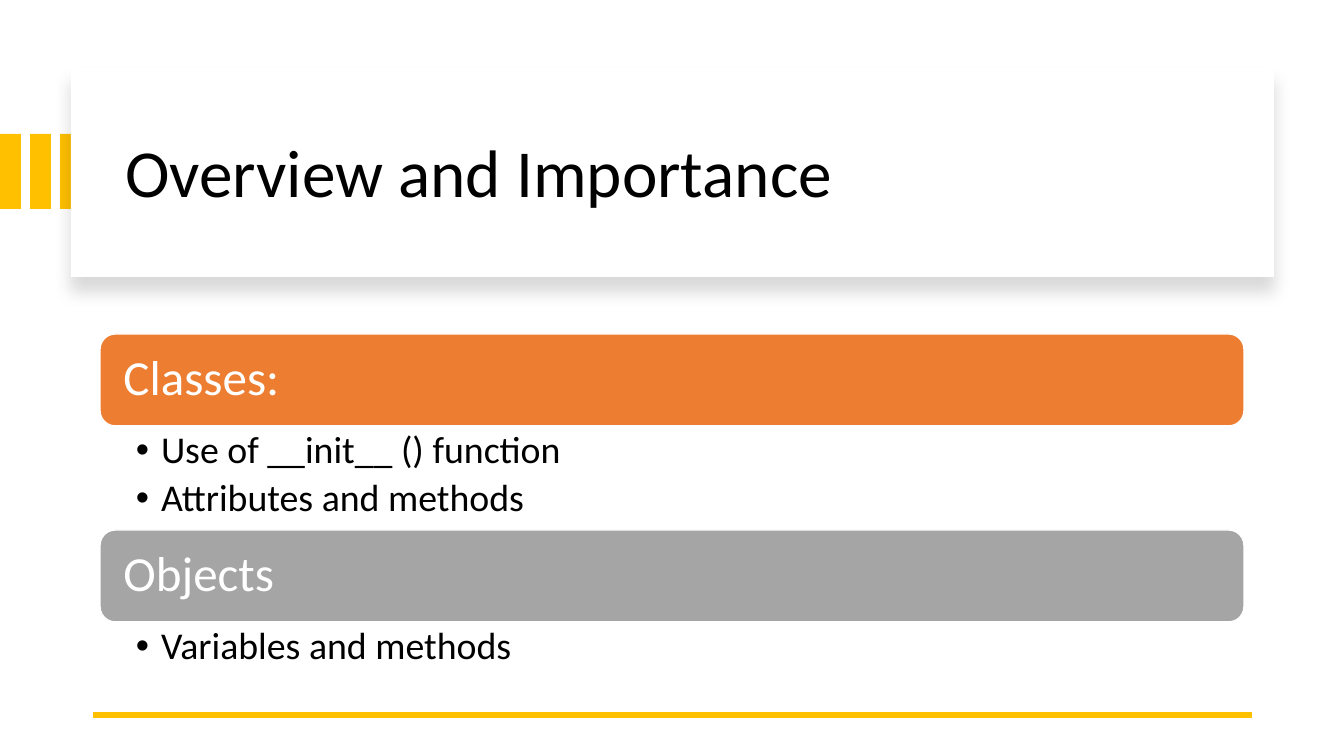
from lxml.etree import SubElement
from pptx import Presentation
from pptx.dml.color import RGBColor
from pptx.enum.shapes import MSO_CONNECTOR, MSO_SHAPE
from pptx.enum.text import MSO_ANCHOR, MSO_AUTO_SIZE, PP_ALIGN
from pptx.oxml.ns import qn
from pptx.util import Emu, Pt

SLIDE_WIDTH, SLIDE_HEIGHT = 1344, 756
FONT = "Calibri"
GOLD, ORANGE, GRAY = "FFC000", "ED7D31", "A5A5A5"
WHITE, BLACK = "FFFFFF", "000000"
SECTION_LEFT, SECTION_TOP, SECTION_WIDTH, HEADING_HEIGHT = 100, 334, 1144, 92
SECTIONS = [
    ("Classes:", ORANGE, ["Use of __init__ () function", "Attributes and methods"], 104),
    ("Objects", GRAY, ["Variables and methods"], 64),
]


def px(length):
    return Emu(round(length * 9144000 / 1008))


def color(hex_string):
    return RGBColor.from_string(hex_string)


def place(shape, left, top, width, height):
    shape.left, shape.top = px(left), px(top)
    shape.width, shape.height = px(width), px(height)


def write_text(shape, lines, size, text_color, anchor=MSO_ANCHOR.MIDDLE,
               insets=(10, 5, 10, 5), space_after=0, bulleted=False):
    frame = shape.text_frame
    frame.text = "\n".join(lines)
    frame.word_wrap = True
    frame.auto_size = MSO_AUTO_SIZE.NONE
    frame.vertical_anchor = anchor
    frame.margin_left, frame.margin_top, frame.margin_right, frame.margin_bottom = map(px, insets)
    for paragraph in frame.paragraphs:
        paragraph.alignment = PP_ALIGN.LEFT
        paragraph.line_spacing = 0.9
        paragraph.space_before = Pt(0)
        paragraph.space_after = Pt(space_after)
        for run in paragraph.runs:
            run.font.name = FONT
            run.font.size = Pt(size)
            run.font.color.rgb = color(text_color)
        if bulleted:
            add_bullet(paragraph)


def add_bullet(paragraph):
    properties = paragraph._p.get_or_add_pPr()
    properties.set("marL", str(px(25)))
    properties.set("indent", str(px(-25)))
    SubElement(properties, qn("a:buChar")).set("char", "•")


def add_block(slide, preset, left, top, width, height, fill, line=None):
    block = slide.shapes.add_shape(preset, px(left), px(top), px(width), px(height))
    block.shadow.inherit = False
    block.fill.solid()
    block.fill.fore_color.rgb = color(fill)
    if line:
        block.line.color.rgb = color(line)
        block.line.width = Pt(1)
    else:
        block.line.fill.background()
    return block


def add_soft_shadow(shape):
    effects = shape._element.spPr.find(qn("a:effectLst"))
    shadow = SubElement(effects, qn("a:outerShdw"), blurRad=str(Pt(11)), dist=str(Pt(10)),
                        dir="5400000", algn="t", rotWithShape="0")
    shade = SubElement(shadow, qn("a:srgbClr"), val=BLACK)
    SubElement(shade, qn("a:alpha"), val="15000")


def add_rule(slide, left, right, y):
    rule = slide.shapes.add_connector(MSO_CONNECTOR.STRAIGHT, px(right), px(y), px(left), px(y))
    rule.line.color.rgb = color(GOLD)
    rule.line.width = Pt(4.5)
    SubElement(rule._element.spPr, qn("a:effectLst"))


def add_title_card(slide):
    for index in range(3):
        add_block(slide, MSO_SHAPE.RECTANGLE, index * 30, 134, 21, 75, GOLD)
    card = add_block(slide, MSO_SHAPE.RECTANGLE, 71, 68, 1203, 209, WHITE)
    add_soft_shadow(card)
    title = slide.shapes.title
    place(title, 115, 90, 1122, 171)
    write_text(title, ["Overview and Importance"], 48, BLACK)
    card.element.addnext(title.element)


def add_section(slide, body, top, heading, fill, items, list_height):
    bar = add_block(slide, MSO_SHAPE.ROUNDED_RECTANGLE, SECTION_LEFT, top,
                    SECTION_WIDTH, HEADING_HEIGHT, fill, line=WHITE)
    write_text(bar, [heading], 35, WHITE, insets=(19, 15, 19, 15))
    place(body, SECTION_LEFT, top + HEADING_HEIGHT, SECTION_WIDTH, list_height)
    write_text(body, items, 27, BLACK, anchor=MSO_ANCHOR.TOP,
               insets=(36, 5, 27, 5), space_after=5, bulleted=True)
    bar.element.addnext(body.element)


def main():
    presentation = Presentation()
    presentation.slide_width, presentation.slide_height = px(SLIDE_WIDTH), px(SLIDE_HEIGHT)
    slide = presentation.slides.add_slide(presentation.slide_layouts.get_by_name("Two Content"))
    bodies = [slide.placeholders[1], slide.placeholders[2]]
    add_title_card(slide)
    add_rule(slide, 93, 1252, 715)
    top = SECTION_TOP
    for body, (heading, fill, items, list_height) in zip(bodies, SECTIONS):
        add_section(slide, body, top, heading, fill, items, list_height)
        top += HEADING_HEIGHT + list_height
    presentation.save("out.pptx")


if __name__ == "__main__":
    main()
